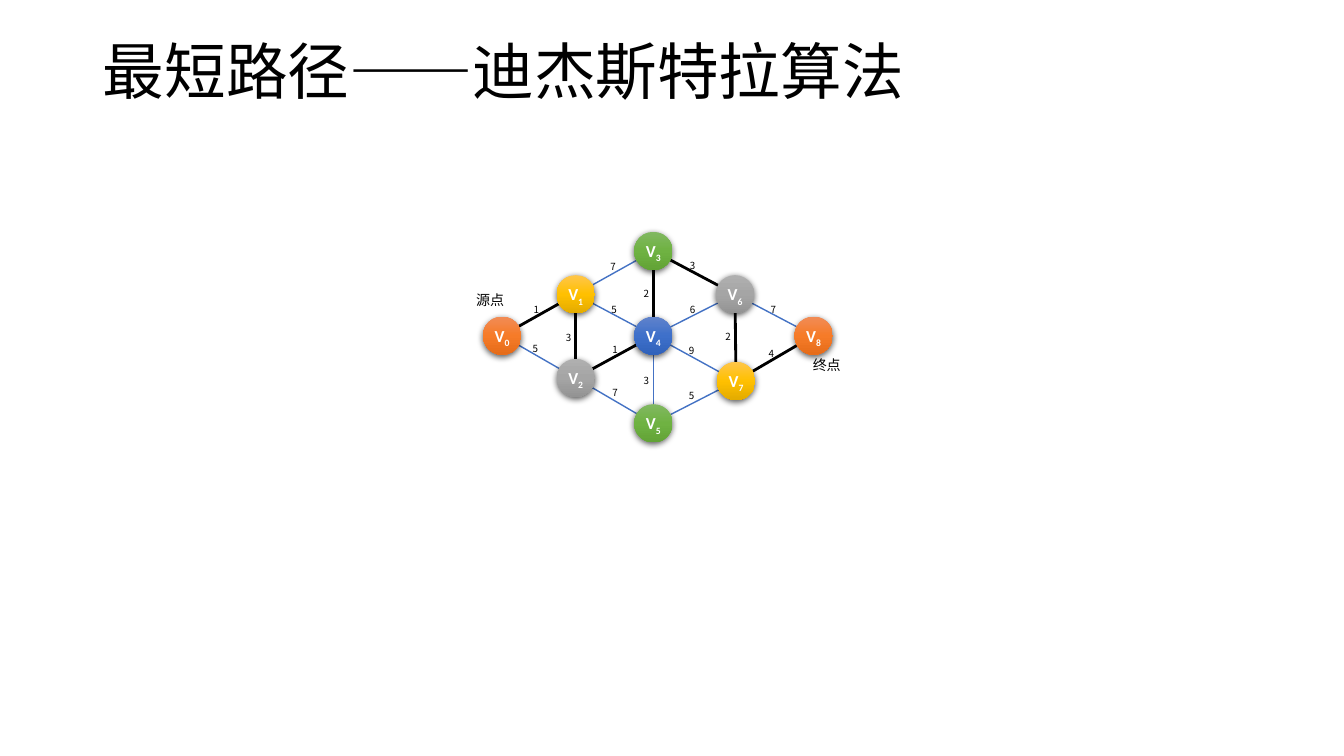
import pptx
import pptx.dml.color
import pptx.enum.shapes
import pptx.enum.text
import pptx.oxml.ns
import pptx.util
from dataclasses import dataclass
from lxml import etree

TITLE = "最短路径——迪杰斯特拉算法"
TITLE_BOX = (92, 1, 1150, 145)

# index of each vertex V: centre x, centre y, colour
VERTICES = [
    (498, 333, "orange"),
    (571, 292, "gold"),
    (571, 375, "gray"),
    (648, 249, "green"),
    (648, 333, "blue"),
    (648, 420, "green"),
    (729, 292, "gray"),
    (730, 378, "gold"),
    (807, 333, "orange"),
]

# from vertex, to vertex, weight, centre of the weight, on the shortest path tree
EDGES = [
    (0, 2, 5, (531, 346), False),
    (1, 3, 7, (608, 265), False),
    (1, 4, 5, (609, 307), False),
    (2, 5, 7, (610, 390), False),
    (4, 5, 3, (641, 378), False),
    (4, 6, 6, (687, 307), False),
    (4, 7, 9, (686, 348), False),
    (5, 7, 5, (686, 393), False),
    (6, 8, 7, (767, 307), False),
    (0, 1, 1, (532, 307), True),
    (1, 2, 3, (564, 335), True),
    (2, 4, 1, (610, 347), True),
    (3, 4, 2, (641, 291), True),
    (3, 6, 3, (687, 264), True),
    (6, 7, 2, (722, 334), True),
    (7, 8, 4, (765, 351), True),
]

ENDPOINTS = [("源点", (486, 298)), ("终点", (820, 362))]

PX = 9144  # EMU, 100 px to the inch
SLIDE_SIZE = (1333, 750)
DIAMETER = 38
VERTEX_LABEL = (38, 30)
VERTEX_LABEL_DROP = 3
WEIGHT_LABEL = (31, 22)
ENDPOINT_LABEL = (51, 27)


@dataclass(frozen=True)
class Theme:
    cjk: str = "Noto Sans CJK SC"
    latin: str = "Calibri"
    text: str = "000000"
    vertex_text: str = "FFFFFF"
    edge: str = "4472C4"
    tree_edge: str = "000000"
    edge_width: int = 1
    tree_edge_width: int = 2
    title_size: int = 44
    vertex_size: int = 12
    endpoint_size: int = 10
    weight_size: int = 7
    gradients = {
        "orange": ("F18C57", "F67B28", "E56C19"),
        "gold": ("FFC64B", "FFC000", "E3AB00"),
        "gray": ("AFAFAF", "A5A5A5", "939393"),
        "green": ("81B861", "6FB242", "62A336"),
        "blue": ("6183CB", "3E70CA", "3062BB"),
    }


THEME = Theme()


def rgb(value):
    return pptx.dml.color.RGBColor.from_string(value)


def add_xml(parent, tag, **attributes):
    return etree.SubElement(parent, pptx.oxml.ns.qn(tag), attributes)


def add_run(paragraph, text, size, font, color, bold=False, subscript=False):
    run = paragraph.add_run()
    run.text = text
    run.font.size = pptx.util.Pt(size)
    run.font.bold = bold
    run.font.color.rgb = rgb(color)
    run.font.name = font
    properties = run.font._element
    add_xml(properties, "a:ea", typeface=THEME.cjk)
    if subscript:
        properties.set("baseline", "-25000")


def add_label(slide, center, size):
    """Add an empty centred text box around a point and return its paragraph."""
    (x, y), (width, height) = center, size
    box = slide.shapes.add_textbox(
        int((x - width / 2) * PX), int((y - height / 2) * PX), width * PX, height * PX)
    frame = box.text_frame
    frame.word_wrap = True
    frame.auto_size = pptx.enum.text.MSO_AUTO_SIZE.SHAPE_TO_FIT_TEXT
    paragraph = frame.paragraphs[0]
    paragraph.alignment = pptx.enum.text.PP_ALIGN.CENTER
    return paragraph


def add_title(slide):
    title = slide.shapes.title
    title.left, title.top, title.width, title.height = (n * PX for n in TITLE_BOX)
    frame = title.text_frame
    frame.vertical_anchor = pptx.enum.text.MSO_ANCHOR.MIDDLE
    paragraph = frame.paragraphs[0]
    paragraph.alignment = pptx.enum.text.PP_ALIGN.LEFT
    paragraph.line_spacing = 0.9
    add_run(paragraph, TITLE, THEME.title_size, THEME.cjk, THEME.text)


def add_edge(slide, start, end, in_tree):
    ends = [n * PX for n in VERTICES[start][:2] + VERTICES[end][:2]]
    edge = slide.shapes.add_connector(pptx.enum.shapes.MSO_CONNECTOR.STRAIGHT, *ends)
    edge.line.color.rgb = rgb(THEME.tree_edge if in_tree else THEME.edge)
    edge.line.width = pptx.util.Pt(THEME.tree_edge_width if in_tree else THEME.edge_width)
    add_xml(edge._element.spPr, "a:effectLst")


def add_vertex(slide, x, y, color):
    radius = DIAMETER // 2
    circle = slide.shapes.add_shape(
        pptx.enum.shapes.MSO_SHAPE.OVAL,
        (x - radius) * PX, (y - radius) * PX, DIAMETER * PX, DIAMETER * PX)
    circle.line.fill.background()
    circle.fill.gradient()
    circle.fill.gradient_angle = 270
    properties = circle._element.spPr
    stops = properties.find(".//" + pptx.oxml.ns.qn("a:gsLst"))
    stops.clear()
    for position, shade in zip((0, 50000, 100000), THEME.gradients[color]):
        add_xml(add_xml(stops, "a:gs", pos=str(position)), "a:srgbClr", val=shade)

    circle.shadow.inherit = False
    effects = properties.find(pptx.oxml.ns.qn("a:effectLst"))
    shadow = add_xml(effects, "a:outerShdw", blurRad=str(pptx.util.Pt(4.5)),
                     dist=str(pptx.util.Pt(1.5)), dir="5400000",
                     algn="ctr", rotWithShape="0")
    add_xml(add_xml(shadow, "a:srgbClr", val="000000"), "a:alpha", val="63000")


def main():
    deck = pptx.Presentation()
    deck.slide_width, deck.slide_height = (n * PX for n in SLIDE_SIZE)
    slide = deck.slides.add_slide(deck.slide_layouts[5])
    add_title(slide)

    for start, end, _, _, in_tree in EDGES:
        add_edge(slide, start, end, in_tree)
    for vertex in VERTICES:
        add_vertex(slide, *vertex)

    for index, (x, y, _) in enumerate(VERTICES):
        name = add_label(slide, (x, y + VERTEX_LABEL_DROP - 3 + 0), VERTEX_LABEL)
        style = (THEME.vertex_size, THEME.latin, THEME.vertex_text, True)
        add_run(name, "V", *style)
        add_run(name, str(index), *style, subscript=True)
    for _, _, weight, center, _ in EDGES:
        add_run(add_label(slide, center, WEIGHT_LABEL), str(weight),
                THEME.weight_size, THEME.cjk, THEME.text)
    for caption, center in ENDPOINTS:
        add_run(add_label(slide, center, ENDPOINT_LABEL), caption,
                THEME.endpoint_size, THEME.cjk, THEME.text)

    deck.save("out.pptx")


if __name__ == "__main__":
    main()
